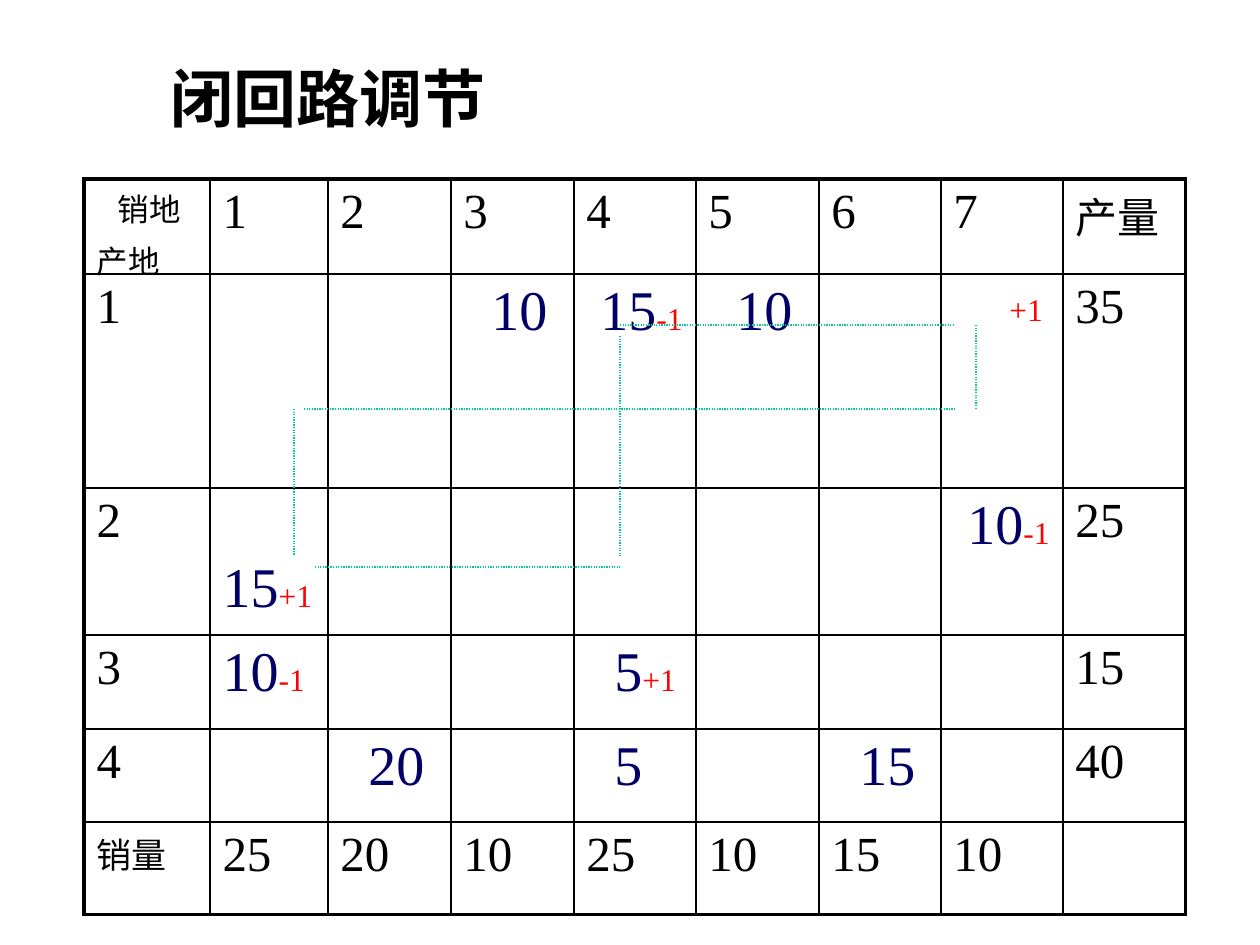
from dataclasses import dataclass

from lxml.etree import SubElement
from pptx import Presentation
from pptx.dml.color import RGBColor
from pptx.enum.dml import MSO_LINE
from pptx.enum.shapes import MSO_CONNECTOR
from pptx.enum.text import MSO_AUTO_SIZE
from pptx.oxml.ns import qn
from pptx.util import Emu, Inches, Pt

PX = 7257  # EMU per px, 126 px to the inch


@dataclass(frozen=True)
class Theme:
    font: str = "Times New Roman"
    ink: str = "000000"
    amount: str = "000066"
    change: str = "FF0000"
    loop: str = "00CC99"
    title_size: int = 36
    amount_size: int = 32
    number_size: int = 28
    output_size: int = 24
    demand_size: int = 20
    small_size: int = 18
    outer_border: float = 2.25
    inner_border: float = 1
    loop_width: float = 0.75


THEME = Theme()

COLUMN_EDGES = [84, 210, 328, 451, 574, 696, 819, 941, 1063, 1186]
ROW_EDGES = [179, 274, 488, 635, 729, 822, 915]
SPACE = 14  # one step of indent before an amount

OUTPUTS = [35, 25, 15, 40]
DEMANDS = [25, 20, 10, 25, 10, 15, 10]

# (origin, destination): (indent steps, amount, change)
SHIPMENTS = {
    (1, 3): (2, "10", ""),
    (1, 4): (1, "15", "-1"),
    (1, 5): (2, "10", ""),
    (1, 7): (4, "", "+1"),
    (2, 1): (0, "15", "+1"),
    (2, 7): (1, "10", "-1"),
    (3, 1): (0, "10", "-1"),
    (3, 4): (2, "5", "+1"),
    (4, 2): (2, "20", ""),
    (4, 4): (2, "5", ""),
    (4, 6): (2, "15", ""),
}

LOOP_LINES = [
    (976, 325, 976, 409),
    (304, 409, 955, 409),
    (315, 567, 620, 567),
    (620, 325, 955, 325),
    (294, 409, 294, 556),
    (620, 336, 620, 556),
]


def px(n):
    return Emu(n * PX)


def add_run(p, text, size, color=THEME.ink, bold=False):
    r = p.add_run()
    r.text = text
    for name, value in {"name": THEME.font, "size": Pt(size), "bold": bold}.items():
        setattr(r.font, name, value)
    r.font.color.rgb = RGBColor.from_string(color)


def indent(p, n):
    p._p.get_or_add_pPr().set("marL", str(px(n)))


def add_title(slide, text):
    tf = slide.shapes.add_textbox(px(158), px(53), px(945), px(88)).text_frame
    for name, value in {"word_wrap": True, "auto_size": MSO_AUTO_SIZE.SHAPE_TO_FIT_TEXT}.items():
        setattr(tf, name, value)
    add_run(tf.paragraphs[0], text, THEME.title_size, bold=True)


def set_borders(cell, outer):
    """Draw all four sides, thicker on those named in outer."""
    tcPr = cell._tc.get_or_add_tcPr()
    for side in "LRTB":
        width = THEME.outer_border if side in outer else THEME.inner_border
        ln = SubElement(tcPr, qn(f"a:ln{side}"), w=str(Pt(width)))
        fill = SubElement(ln, qn("a:solidFill"))
        SubElement(fill, qn("a:srgbClr"), val=THEME.ink)


def add_grid(slide):
    x, y = COLUMN_EDGES, ROW_EDGES
    n_rows, n_cols = len(y) - 1, len(x) - 1
    frame = slide.shapes.add_table(n_rows, n_cols, px(x[0]), px(y[0]),
                                   px(x[-1] - x[0]), px(y[-1] - y[0]))
    table = frame.table
    for name in ("first_row", "horz_banding"):
        setattr(table, name, False)
    for column, start, end in zip(table.columns, x, x[1:]):
        column.width = px(end - start)
    for row, start, end in zip(table.rows, y, y[1:]):
        row.height = px(end - start)
    for r in range(n_rows):
        for c in range(n_cols):
            outer = {"L": c == 0, "R": c == n_cols - 1, "T": r == 0, "B": r == n_rows - 1}
            cell = table.cell(r, c)
            set_borders(cell, [side for side, on_edge in outer.items() if on_edge])
            cell.fill.background()
    return table


def write(cell, value, size=THEME.number_size):
    add_run(cell.text_frame.paragraphs[0], str(value), size)


def fill_labels(table):
    corner = table.cell(0, 0)
    write(corner, "销地", THEME.small_size)
    indent(corner.text_frame.paragraphs[0], 21)
    p = corner.text_frame.add_paragraph()
    p.space_before = Pt(3.6)
    add_run(p, "产地", THEME.small_size)

    for c, demand in enumerate(DEMANDS, 1):
        write(table.cell(0, c), c)
        write(table.cell(5, c), demand)
    for r, output in enumerate(OUTPUTS, 1):
        write(table.cell(r, 0), r)
        write(table.cell(r, 8), output)
    write(table.cell(0, 8), "产量", THEME.output_size)
    write(table.cell(5, 0), "销量", THEME.demand_size)


def fill_shipments(table):
    for (r, c), (steps, amount, change) in SHIPMENTS.items():
        p = table.cell(r, c).text_frame.paragraphs[0]
        if steps:
            indent(p, steps * SPACE)
        if amount:
            add_run(p, amount, THEME.amount_size, THEME.amount)
        if change:
            add_run(p, change, THEME.small_size, THEME.change)
    # These two sit lower in their cells
    table.cell(2, 1).margin_top = Inches(0.55)
    table.cell(1, 7).margin_top = Inches(0.15)


def add_loop_line(slide, x1, y1, x2, y2):
    line = slide.shapes.add_connector(MSO_CONNECTOR.STRAIGHT, px(x1), px(y1), px(x2), px(y2))
    line.line.color.rgb = RGBColor.from_string(THEME.loop)
    for name, value in {"width": Pt(THEME.loop_width), "dash_style": MSO_LINE.ROUND_DOT}.items():
        setattr(line.line, name, value)
    SubElement(line._element.spPr, qn("a:effectLst"))


def main():
    prs = Presentation()
    prs.slide_width, prs.slide_height = Inches(10), Inches(7.5)
    slide = prs.slides.add_slide(prs.slide_layouts[6])
    add_title(slide, "闭回路调节")
    table = add_grid(slide)
    fill_labels(table)
    fill_shipments(table)
    for ends in LOOP_LINES:
        add_loop_line(slide, *ends)
    prs.save("out.pptx")


if __name__ == "__main__":
    main()
